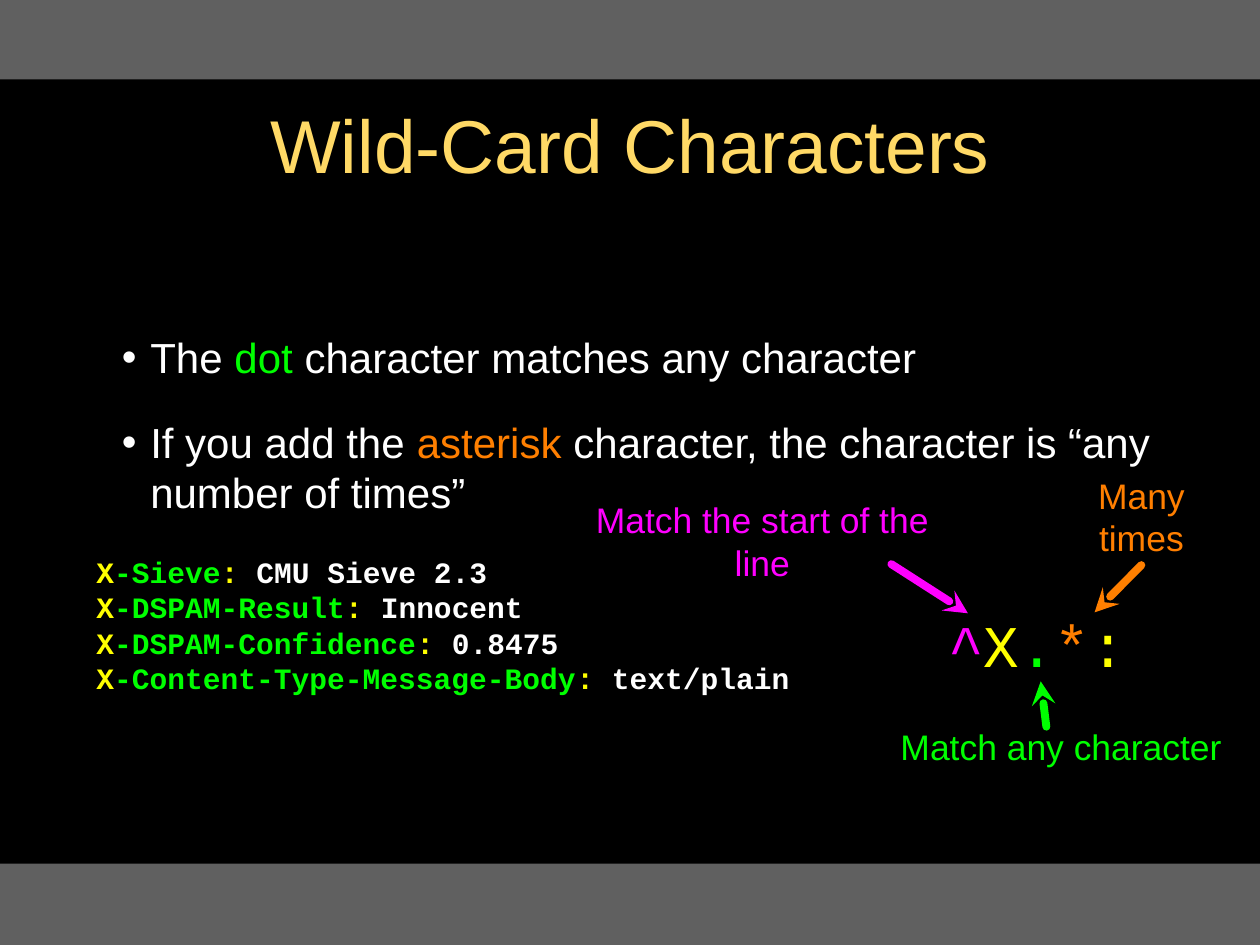
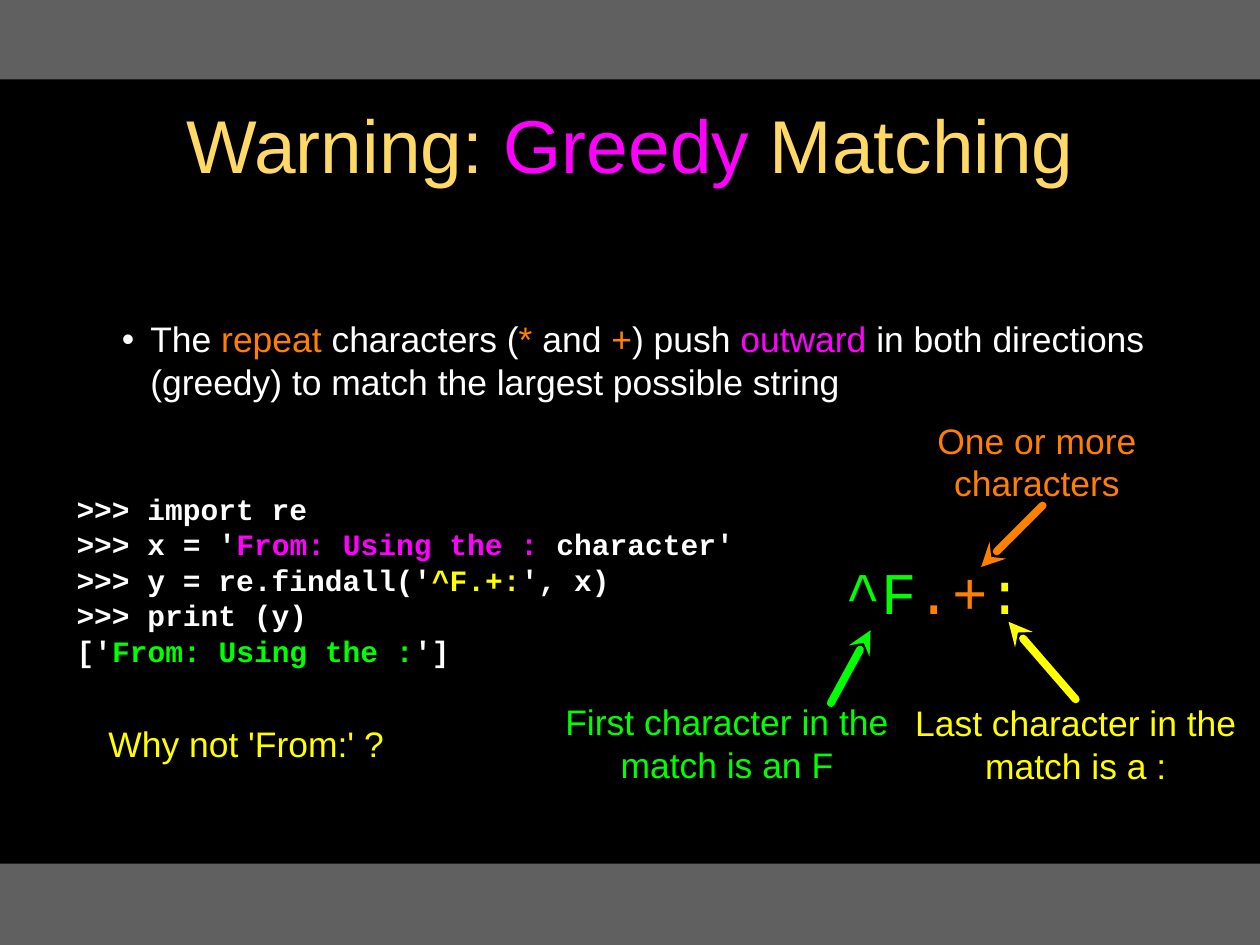
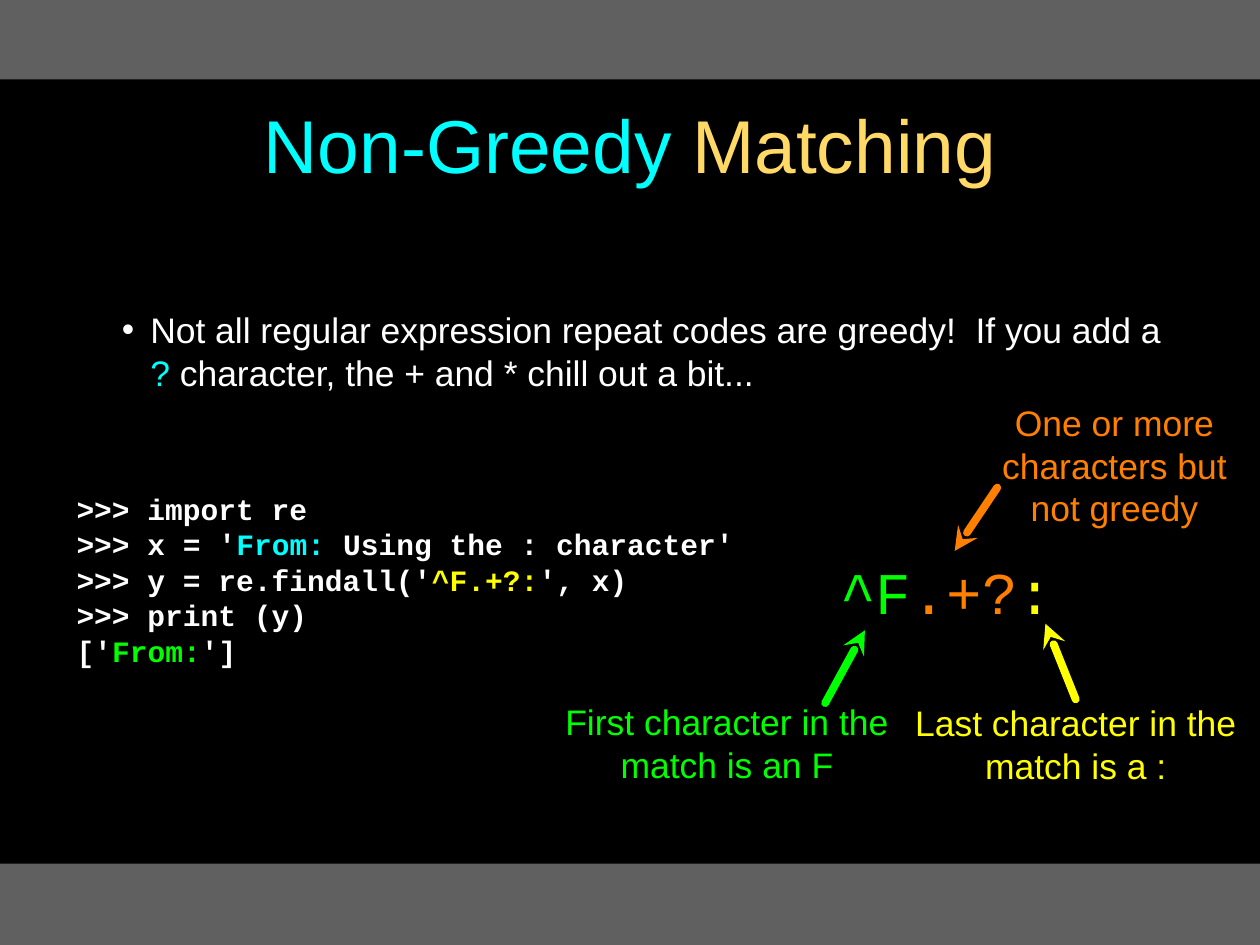
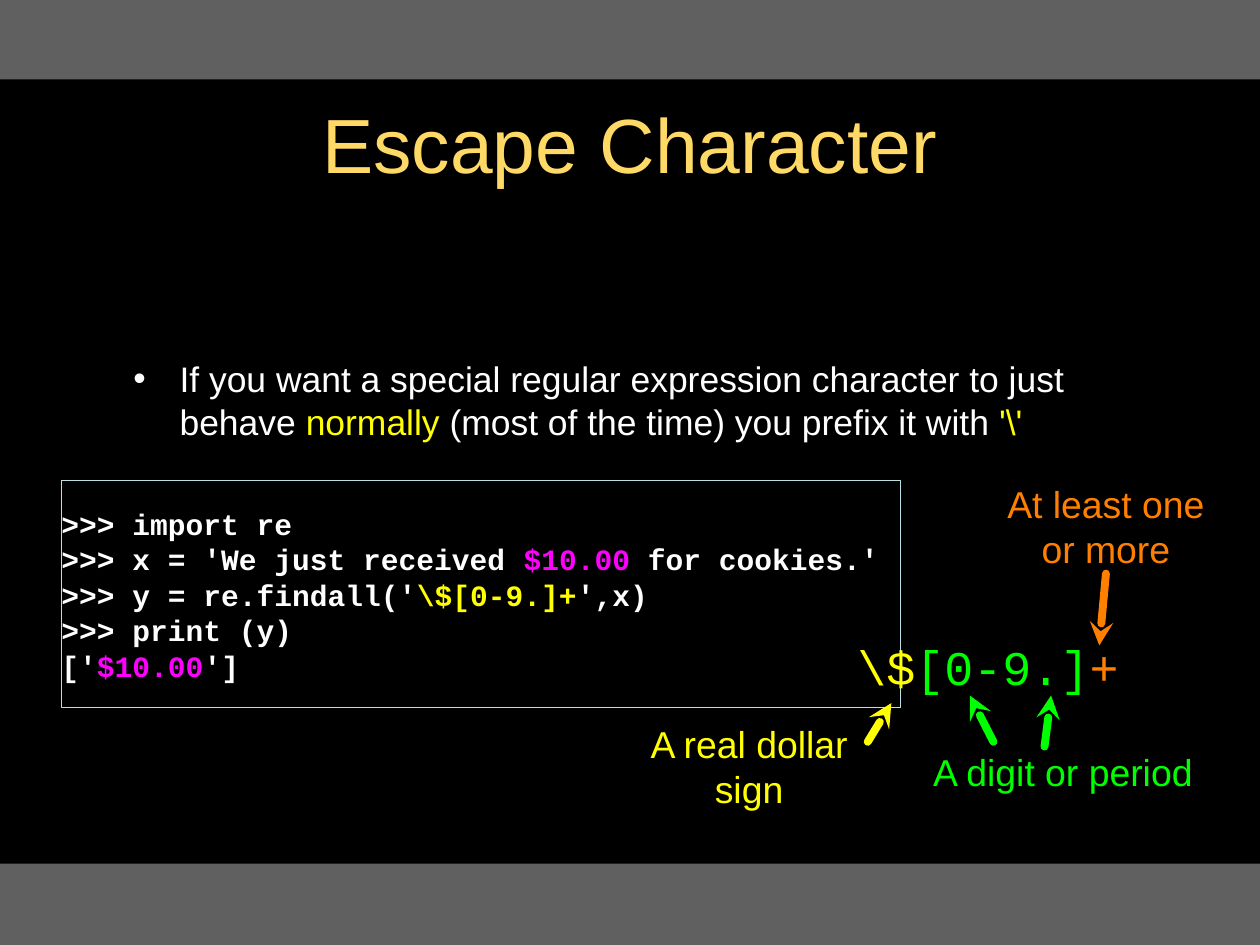
"""Build four slides on regular expressions: wild cards, greediness and escaping."""
from lxml import etree
from pptx import Presentation
from pptx.dml.color import RGBColor
from pptx.enum.shapes import MSO_CONNECTOR, MSO_SHAPE
from pptx.enum.text import MSO_ANCHOR, MSO_AUTO_SIZE, PP_ALIGN
from pptx.oxml.ns import qn
from pptx.util import Inches, Pt

LEFT, CENTER = PP_ALIGN.LEFT, PP_ALIGN.CENTER
MIDDLE = MSO_ANCHOR.MIDDLE
NO_AUTOFIT = MSO_AUTO_SIZE.NONE
RECTANGLE = MSO_SHAPE.RECTANGLE
STRAIGHT = MSO_CONNECTOR.STRAIGHT
TOP, BOTTOM = 0, 2

BLACK, WHITE, GRAY, GOLD = "000000", "FFFFFF", "606060", "FFD966"
GREEN, ORANGE, MAGENTA, YELLOW, CYAN = "00FF00", "FF7F00", "FF00FF", "FFFF00", "00FFFF"
FRAME = "BBE0E3"
SANS, MONO = "Arial", "Courier New"

WIDTH, HEIGHT = 13.33, 10
BANDS = [(0, 0.84), (9.14, 0.86)]
TITLE_BOX = (0.95, 0.26, 11.43, 2.51)
BODY_LEFT, BODY_TOP, BODY_WIDTH = 0.95, 2.85, 11.43
CODE_SIZE = 22.5
BULLET_GAP = 26.2


def session(source, pattern, ending, result):
    """Return the lines of an interpreter session around one findall call."""
    return [
        [">>> import re"],
        [">>> x = '", *source, "'"],
        [">>> y = re.findall('", (pattern, YELLOW), ending],
        [">>> print (y)"],
        ["['", result, "']"],
    ]


def header(name, value):
    """Return the runs of one mail header line."""
    return [("X", YELLOW), (name, GREEN), (": ", YELLOW), value]


def first_label(tip, tail):
    """Return the callout for the leading F."""
    return ("First character in the match is an F", GREEN, (5.98, 7.39, 3.42, 0.94), [(tip, tail)])


def last_label(tip):
    """Return the callout for the closing colon."""
    return ("Last character in the match is a :", YELLOW, (9.67, 7.4, 3.42, 0.94), [(tip, TOP)])


DEFAULTS = {"title_size": 57, "inset": 0.03, "body_size": 27, "indent": (0.61, -0.3),
            "framed": False, "pattern_size": 45, "pattern_align": LEFT, "label_size": 27}

SLIDES = [
    {
        "title": ["Wild-Card Characters"],
        "bullets": [
            ["The ", ("dot", GREEN), " character matches any character"],
            ["If you add the ", ("asterisk", ORANGE),
             " character, the character is “any number of times”"],
        ],
        "body_height": 3.28, "body_size": 32,
        "code": [
            header("-Sieve", "CMU Sieve 2.3"),
            header("-DSPAM-Result", "Innocent"),
            header("-DSPAM-Confidence", "0.8475"),
            header("-Content-Type-Message-Body", "text/plain"),
        ],
        "code_box": (1.02, 5.7, 7.8, 1.82),
        "pattern": [("^", MAGENTA), ("X", YELLOW), (".", GREEN), ("*", ORANGE), (":", YELLOW)],
        "pattern_box": (9.71, 6.41, 2.52, 0.8), "pattern_align": CENTER,
        "labels": [
            ("Match the start of the line", MAGENTA, (6.03, 5.47, 4.07, 0.51),
             [((10.24, 6.49), (9.43, 5.97))]),
            ("Match any character", GREEN, (9.25, 7.64, 3.95, 0.51),
             [((11.01, 7.21), (11.07, 7.69))]),
            ("Many times", ORANGE, (11.17, 4.95, 1.81, 1.03), [((11.58, 6.48), BOTTOM)]),
        ],
    },
    {
        "title": ["Warning: ", ("Greedy", MAGENTA), " Matching"],
        "bullets": [
            ["The ", ("repeat", ORANGE), " characters (", ("*", ORANGE), " and ", ("+", ORANGE),
             ") push ", ("outward", MAGENTA),
             " in both directions (greedy) to match the largest possible string"],
        ],
        "body_height": 1.92,
        "code": session([("From: Using the :", MAGENTA), " character"], "^F.+:", "', x)",
                        ("From: Using the :", GREEN)),
        "code_box": (0.81, 5.02, 8.23, 2.22),
        "pattern": [("^F", GREEN), (".+", ORANGE), (":", YELLOW)],
        "pattern_box": (8.95, 5.83, 2.12, 0.84),
        "labels": [
            ("One or more characters", ORANGE, (9.64, 4.41, 2.66, 0.94),
             [((10.38, 6), (11.03, 5.35))]),
            first_label((9.21, 6.67), (8.79, 7.44)),
            last_label((10.67, 6.58)),
            ("Why not 'From:' ?", YELLOW, (0.95, 7.64, 3.31, 0.45), []),
        ],
    },
    {
        "title": [("Non-Greedy", CYAN), " Matching"],
        "bullets": [
            ["Not all regular expression repeat codes are greedy!  If you add a ", ("?", CYAN),
             " character, the + and * chill out a bit..."],
        ],
        "body_height": 1.72,
        "code": session([("From: ", CYAN), "Using the : character"], "^F.+?:", "', x)",
                        ("From:", GREEN)),
        "code_box": (0.81, 5.02, 8.23, 2.22),
        "pattern": [("^F", GREEN), (".+?", ORANGE), (":", YELLOW)],
        "pattern_box": (8.89, 5.83, 2.43, 0.84),
        "labels": [
            ("One or more characters but not greedy", ORANGE, (10.46, 4.24, 2.66, 1.36),
             [((10.1, 5.83), (10.55, 5.16))]),
            first_label((9.15, 6.67), (8.73, 7.44)),
            last_label((11.06, 6.6)),
        ],
    },
    {
        "title": ["Escape Character"], "title_size": 58.5, "inset": 0.04,
        "bullets": [
            ["If you want a special regular expression character to just behave ",
             ("normally", YELLOW), " (most of the time) you prefix it with ", ("'\\'", YELLOW)],
        ],
        "body_height": 2.76, "indent": (0.91, -0.49),
        "code": session(["We just received ", ("$10.00", MAGENTA), " for cookies."],
                        "\\$[0-9.]+", "',x)", ("$10.00", MAGENTA)),
        "code_box": (0.65, 5.09, 8.88, 2.4), "framed": True,
        "pattern": [("\\$", YELLOW), ("[0-9.]", GREEN), ("+", ORANGE)],
        "pattern_box": (9.07, 6.72, 2.81, 0.67), "pattern_size": 36.8,
        "label_size": 28.5,
        "labels": [
            ("A digit or period", GREEN, (9.85, 7.9, 2.79, 0.54),
             [((10.26, 7.36), (10.51, 7.85)), ((11.12, 7.36), (11.05, 7.9))]),
            ("A real dollar sign", YELLOW, (6.52, 7.84, 2.81, 0.54),
             [((9.43, 7.44), (9.18, 7.85))]),
            ("At least one or more", ORANGE, (10.52, 5.07, 2.36, 1), [((11.63, 6.83), BOTTOM)]),
        ],
    },
]


def rgb(value):
    """Turn a hex string into a colour."""
    return RGBColor.from_string(value)


def inches(values):
    """Turn numbers into lengths."""
    return [Inches(value) for value in values]


def add_bullet(paragraph, margin, hanging):
    """Give a paragraph a white round bullet and a hanging indent."""
    properties = paragraph._p.get_or_add_pPr()
    properties.set("marL", str(Inches(margin)))
    properties.set("indent", str(Inches(hanging)))
    bullet_color = etree.SubElement(properties, qn("a:buClr"))
    etree.SubElement(bullet_color, qn("a:srgbClr"), val=WHITE)
    etree.SubElement(properties, qn("a:buFont"), typeface=SANS)
    etree.SubElement(properties, qn("a:buChar"), char="•")


def write(box, lines, size, font=SANS, color=WHITE, align=LEFT, bold=False, inset=0, indent=None):
    """Fill a box with lines of runs; a run is plain text or a (text, colour) pair."""
    frame = box.text_frame
    frame.word_wrap = True
    frame.auto_size = NO_AUTOFIT
    frame.vertical_anchor = MIDDLE
    frame.margin_left = frame.margin_right = frame.margin_top = frame.margin_bottom = Inches(inset)
    for number, line in enumerate(lines):
        paragraph = frame.add_paragraph() if number else frame.paragraphs[0]
        if indent:
            add_bullet(paragraph, *indent)
        paragraph.alignment = align
        paragraph.space_before = Pt(BULLET_GAP if indent and number else 0)
        paragraph.font.size = Pt(size)
        paragraph.font.name = font
        paragraph.font.bold = bold
        paragraph.font.color.rgb = rgb(color)
        for part in line:
            text, run_color = (part, color) if isinstance(part, str) else part
            run = paragraph.add_run()
            run.text = text
            if run_color != color:
                run.font.color.rgb = rgb(run_color)


def place(placeholder, box):
    """Move a placeholder to a box."""
    placeholder.left, placeholder.top, placeholder.width, placeholder.height = inches(box)


def add_arrow(slide, label, color, tip, tail):
    """Draw an arrow from a label, at a point or at the middle of a side, to its tip."""
    joined = isinstance(tail, int)
    arrow = slide.shapes.add_connector(STRAIGHT, *inches(tip), *inches(tip if joined else tail))
    if joined:
        arrow.end_connect(label, tail)
    arrow.line.color.rgb = rgb(color)
    arrow.line.width = Pt(6)
    outline = arrow.line._get_or_add_ln()
    outline.set("cap", "rnd")
    etree.SubElement(outline, qn("a:headEnd"), type="stealth")
    etree.SubElement(arrow._element.spPr, qn("a:effectLst"))


def add_code_box(slide, box, framed):
    """Add the box for a code listing, outlined if framed."""
    if not framed:
        return slide.shapes.add_textbox(*inches(box))
    code_box = slide.shapes.add_shape(RECTANGLE, *inches(box))
    code_box.shadow.inherit = False
    code_box.fill.background()
    code_box.line.color.rgb = rgb(FRAME)
    code_box.line.width = Pt(0.75)
    return code_box


def style_master(deck, slide):
    """Give the master a black background and the gray bands."""
    master = deck.slide_master
    background = master.background.fill
    background.solid()
    background.fore_color.rgb = rgb(BLACK)
    for top, height in BANDS:
        band = slide.shapes.add_shape(RECTANGLE, *inches((0, top, WIDTH, height)))
        band.shadow.inherit = False
        band.fill.solid()
        band.fill.fore_color.rgb = rgb(GRAY)
        band.line.fill.background()
        master.shapes.element.insert(2, band.element)


def fill_slide(slide, content):
    """Put the title, bullets, code, pattern and callouts on a slide."""
    title, body = slide.placeholders
    place(title, TITLE_BOX)
    write(title, [content["title"]], content["title_size"], color=GOLD, align=CENTER,
          inset=content["inset"])
    place(body, (BODY_LEFT, BODY_TOP, BODY_WIDTH, content["body_height"]))
    write(body, content["bullets"], content["body_size"], inset=content["inset"],
          indent=content["indent"])
    code = add_code_box(slide, content["code_box"], content["framed"])
    write(code, content["code"], CODE_SIZE, MONO, bold=True)
    pattern = slide.shapes.add_textbox(*inches(content["pattern_box"]))
    write(pattern, [content["pattern"]], content["pattern_size"], MONO,
          align=content["pattern_align"])
    for text, color, box, arrows in content["labels"]:
        label = slide.shapes.add_textbox(*inches(box))
        write(label, [[text]], content["label_size"], color=color, align=CENTER)
        for tip, tail in arrows:
            add_arrow(slide, label, color, tip, tail)


def main():
    """Build and save the deck."""
    deck = Presentation()
    deck.slide_width, deck.slide_height = inches((WIDTH, HEIGHT))
    layout = deck.slide_layouts[1]
    for content in SLIDES:
        slide = deck.slides.add_slide(layout)
        if len(deck.slides) == 1:
            style_master(deck, slide)
        fill_slide(slide, DEFAULTS | content)
    deck.save("out.pptx")


if __name__ == "__main__":
    main()
